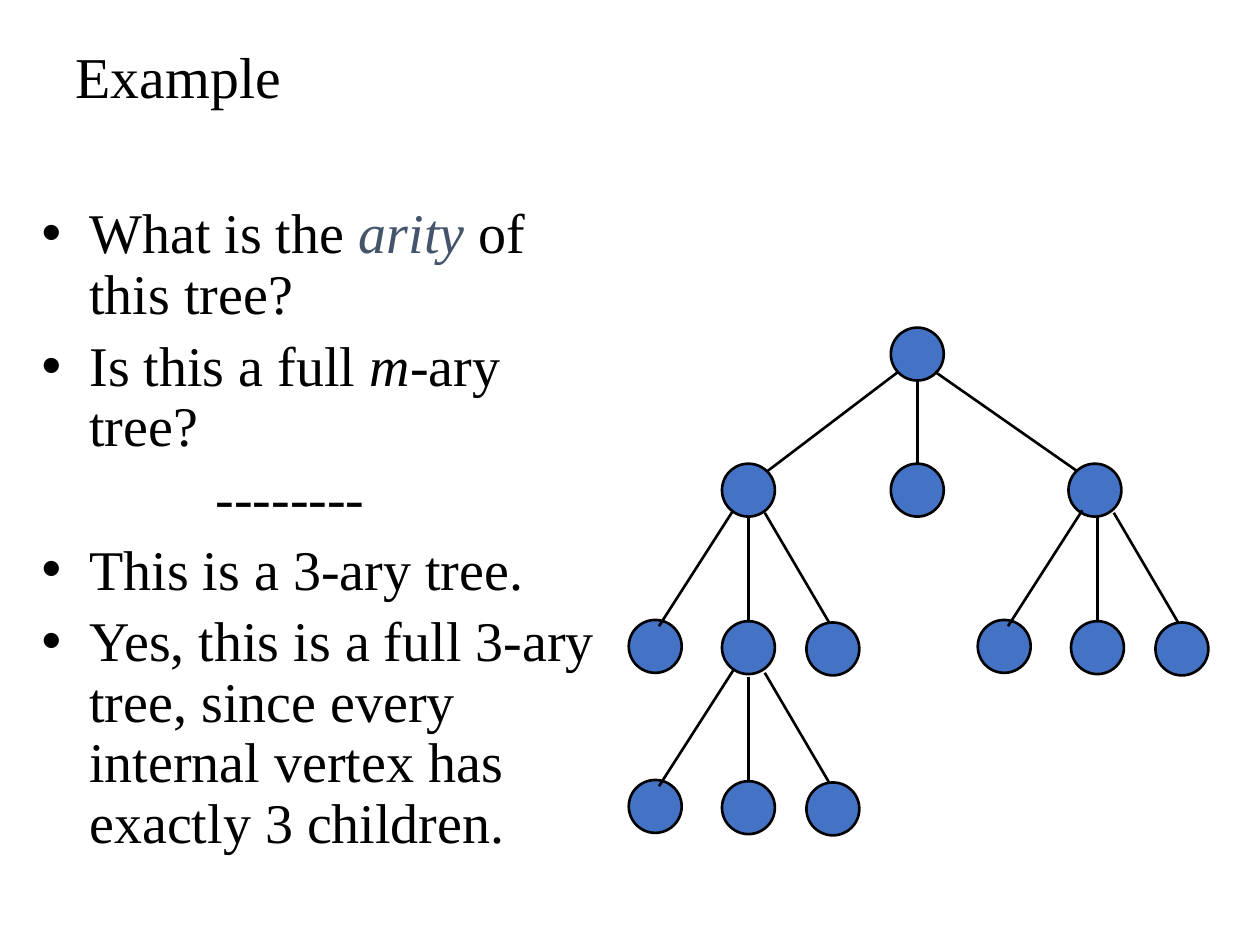
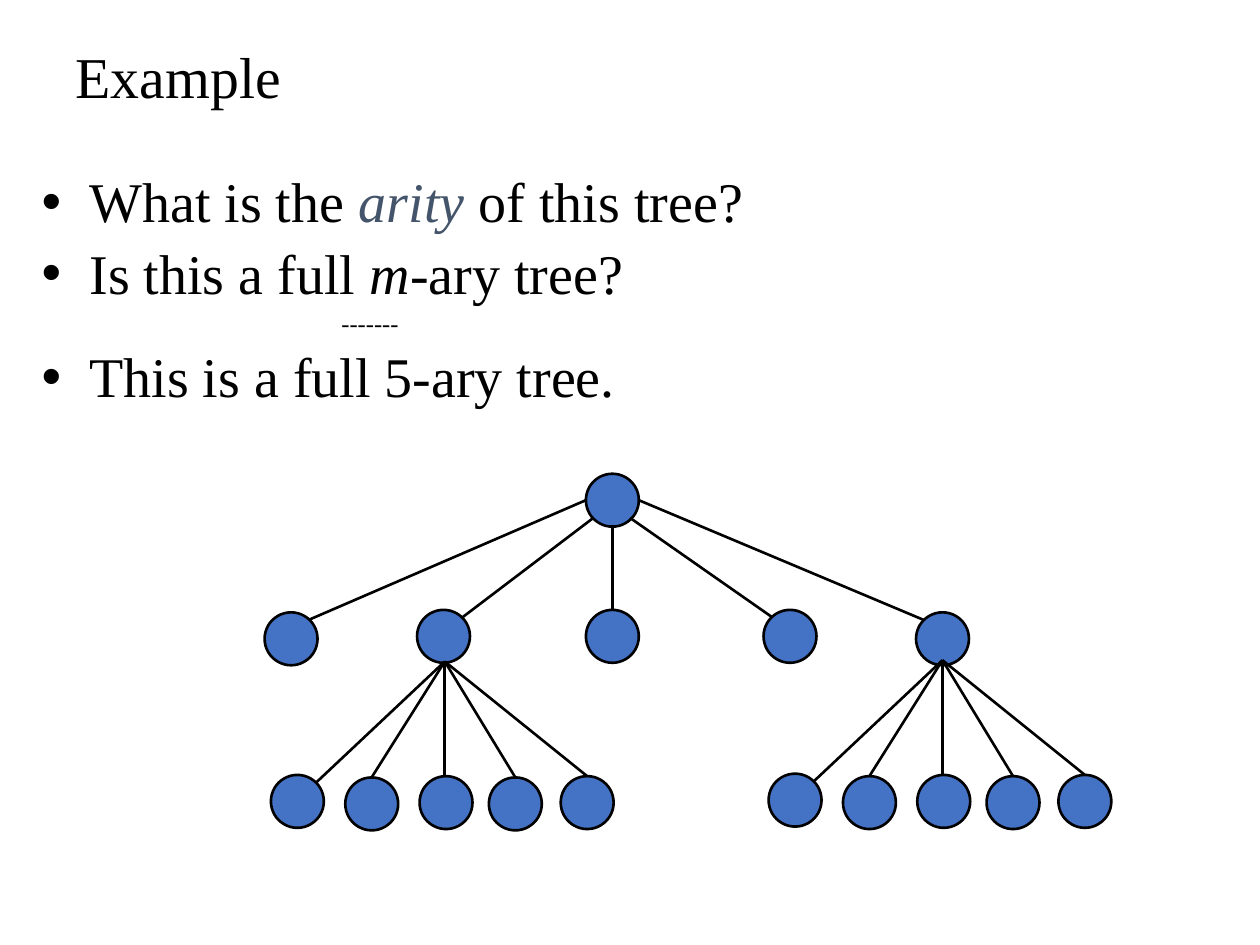
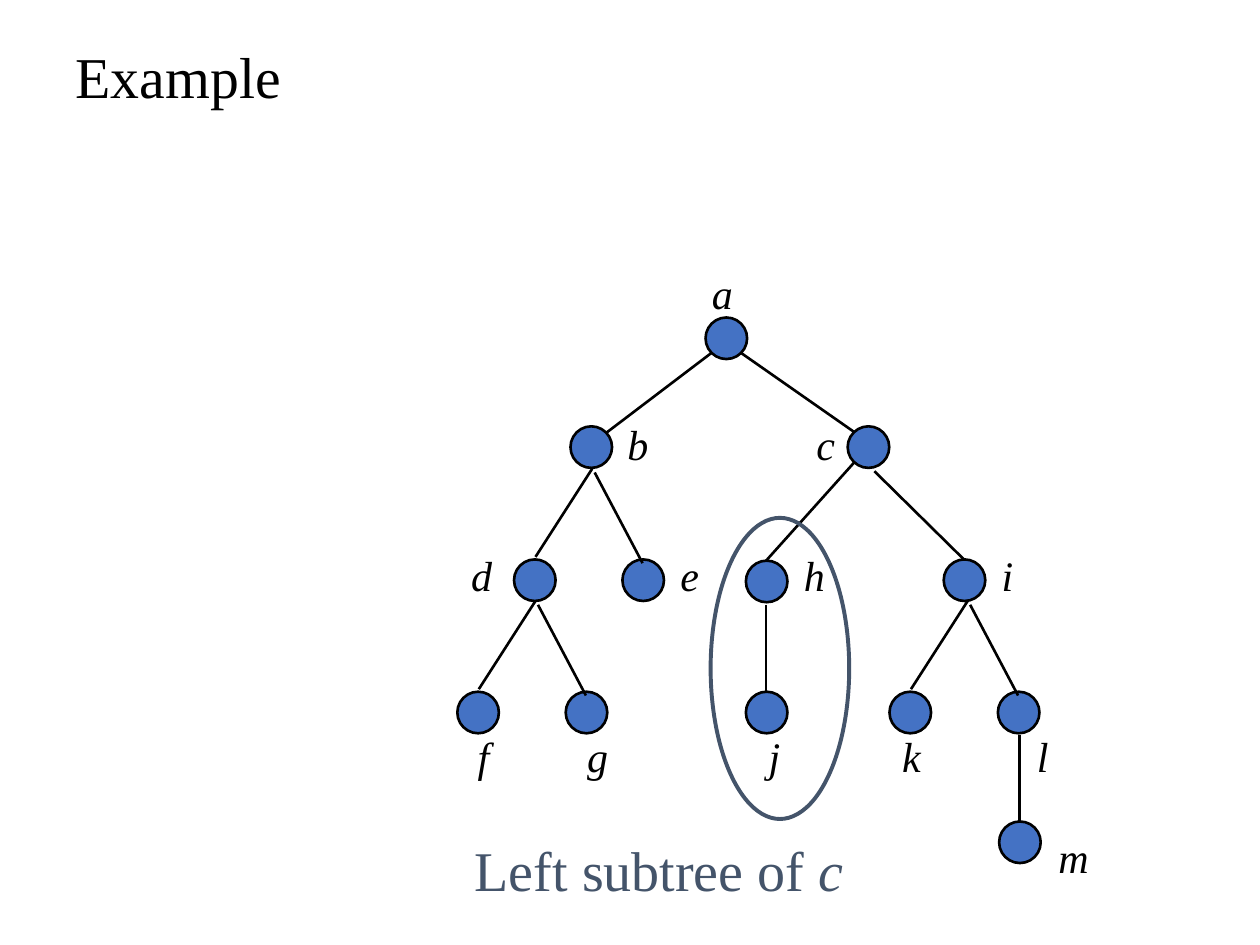
from typing import NamedTuple

from lxml import etree
from pptx import Presentation
from pptx.dml import color
from pptx.enum import shapes, text
from pptx.oxml import ns
from pptx.util import Inches, Pt

FONT = "Times New Roman"
BLACK, BLUE, SLATE = "000000", "4472C4", "44546A"
BIG, SMALL = 0.42, 0.33
LABEL_SIZE = 0.4


class Branch(NamedTuple):
    left: float
    top: float
    x1: float
    y1: float
    x2: float
    y2: float


class Run(NamedTuple):
    words: str
    ink: str = BLACK
    italic: bool = False


class Para(NamedTuple):
    runs: list[Run]
    size: float = 32
    margin: float = 0.38
    bullet: bool = True


class Label(NamedTuple):
    letter: str
    left: float
    top: float


OUTER_PAIR = [
    Branch(-1.34, 1.08, 0.06, 0.35, -0.98, 1.14),
    Branch(1.41, 1.08, 0.35, 0.35, 1.48, 1.14),
]
ROOT_OF_THREE = OUTER_PAIR + [Branch(0, 1.08, 0.21, 0.41, 0.21, 1.08)]
ROOT_OF_FIVE = ROOT_OF_THREE + [
    Branch(-2.55, 1.1, 0, 0.21, -2.2, 1.16),
    Branch(2.62, 1.1, 0.42, 0.21, 2.68, 1.16),
]
THREE = [
    Branch(-0.74, 1.24, 0.09, 0.37, -0.5, 1.29),
    Branch(0, 1.25, 0.21, 0.42, 0.21, 1.25),
    Branch(0.67, 1.26, 0.34, 0.39, 0.85, 1.26),
]
FIVE = [
    Branch(-1.38, 0.9, 0, 0, -1.02, 0.96),
    Branch(-0.79, 0.92, 0, 0, -0.58, 0.92),
    Branch(-0.2, 0.91, 0, 0, 0, 0.91),
    Branch(0.35, 0.92, 0, 0, 0.56, 0.92),
    Branch(0.92, 0.91, 0, 0, 1.13, 0.91),
]
TWO = [
    Branch(-0.62, 0.72, 0, 0, -0.45, 0.7),
    Branch(0.24, 0.72, 0.02, 0.03, 0.4, 0.75),
]
CHILDREN_OF_C = [
    Branch(-0.81, 1.06, 0.05, 0.28, -0.65, 1.06),
    Branch(0.76, 1.05, 0.21, 0.35, 0.92, 1.05),
]
STEM = [Branch(0, 1.04, 0.16, 0.35, 0.16, 1.04)]

QUESTIONS = [
    Para([Run("What is the "), Run("arity", SLATE, True), Run(" of this tree?")]),
    Para([Run("Is this a full "), Run("m", italic=True), Run("-ary tree?")]),
]

ROW_A, ROW_B, ROW_D, ROW_F, ROW_M = 2.12, 3.32, 4.36, 5.8, 6.6
LABELS = [
    Label("a", 5.65, ROW_A), Label("b", 4.98, ROW_B), Label("c", 6.48, ROW_B),
    Label("d", 3.74, ROW_D), Label("e", 5.4, ROW_D), Label("h", 6.38, ROW_D),
    Label("i", 7.95, ROW_D), Label("f", 3.79, ROW_F), Label("g", 4.66, ROW_F),
    Label("j", 6.1, ROW_F), Label("k", 7.16, ROW_F), Label("l", 8.23, ROW_F),
    Label("m", 8.4, ROW_M),
]


def rgb(value: str) -> color.RGBColor:
    return color.RGBColor.from_string(value)


def place(sp, left: float, top: float, width: float, height: float) -> None:
    sp.left, sp.top = Inches(left), Inches(top)
    sp.width, sp.height = Inches(width), Inches(height)


def add_run(p, run: Run, size: float) -> None:
    r = p.add_run()
    r.text = run.words
    r.font.name, r.font.size, r.font.italic = FONT, Pt(size), run.italic
    r.font.color.rgb = rgb(run.ink)


def add_slide(prs, layout: int):
    s = prs.slides.add_slide(prs.slide_layouts[layout])
    place(s.shapes.title, 0.5, 0.17, 9, 0.92)
    tf = s.shapes.title.text_frame
    tf.auto_size = text.MSO_AUTO_SIZE.NONE
    tf.vertical_anchor = text.MSO_ANCHOR.MIDDLE
    p = tf.paragraphs[0]
    p.alignment, p.line_spacing = text.PP_ALIGN.LEFT, 0.9
    add_run(p, Run("Example"), 33)
    return s


def fill_body(s, paras: list[Para], box: tuple[float, float, float, float]) -> None:
    sp = s.placeholders[1]
    place(sp, *box)
    tf = sp.text_frame
    tf.auto_size = text.MSO_AUTO_SIZE.NONE
    tf.margin_left = tf.margin_right = 0
    for i, para in enumerate(paras):
        p = tf.paragraphs[0] if i == 0 else tf.add_paragraph()
        p.line_spacing = 0.9
        p.space_before = Pt(0.2 * para.size if i else 0)
        pPr = p._p.get_or_add_pPr()
        pPr.set("marL", str(Inches(para.margin)))
        pPr.set("indent", str(Inches(-para.margin if para.bullet else 0)))
        if para.bullet:
            etree.SubElement(pPr, ns.qn("a:buChar")).set("char", "•")
        else:
            etree.SubElement(pPr, ns.qn("a:buNone"))
        for run in para.runs:
            add_run(p, run, para.size)


def add_text(s, runs: list[Run], size: float,
             box: tuple[float, float, float, float], inset: float = 0):
    tf = s.shapes.add_textbox(*map(Inches, box)).text_frame
    tf.word_wrap = True
    tf.margin_left = tf.margin_right = Inches(inset)
    tf.margin_top = tf.margin_bottom = Inches(inset / 2)
    for run in runs:
        add_run(tf.paragraphs[0], run, size)


def add_oval(s, left: float, top: float, width: float, height: float,
             line: str, weight: float, fill: str | None = None) -> None:
    sp = s.shapes.add_shape(shapes.MSO_SHAPE.OVAL,
                            *map(Inches, (left, top, width, height)))
    sp.shadow.inherit = False
    if fill:
        sp.fill.solid()
        sp.fill.fore_color.rgb = rgb(fill)
    else:
        sp.fill.background()
    sp.line.color.rgb, sp.line.width = rgb(line), Pt(weight)


def add_node(s, left: float, top: float, size: float) -> None:
    add_oval(s, left, top, size, size, BLACK, 1.5, BLUE)


def add_edge(s, x1: float, y1: float, x2: float, y2: float) -> None:
    cx = s.shapes.add_connector(shapes.MSO_CONNECTOR.STRAIGHT,
                                *map(Inches, (x1, y1, x2, y2)))
    cx.line.color.rgb, cx.line.width = rgb(BLACK), Pt(1.5)
    etree.SubElement(cx._element.spPr, ns.qn("a:effectLst"))


def add_fan(s, branches: list[Branch], x: float, y: float,
            size: float = BIG, scale: float = 1) -> None:
    for b in branches:
        add_node(s, x + b.left * scale, y + b.top * scale, size)
    for b in branches:
        add_edge(s, x + b.x1 * scale, y + b.y1 * scale,
                 x + b.x2 * scale, y + b.y2 * scale)


def build_three_ary(prs) -> None:
    s = add_slide(prs, 1)
    add_node(s, 7.07, 2.6, BIG)
    add_fan(s, ROOT_OF_THREE, 7.07, 2.6)
    for x, y in [(5.73, 3.68), (5.73, 4.95), (8.5, 3.68)]:
        add_fan(s, THREE, x, y)
    answer = ("Yes, this is a full 3-ary tree, since every internal vertex "
              "has exactly 3 children.")
    fill_body(s, QUESTIONS + [
        Para([Run("--------")], margin=1.38, bullet=False),
        Para([Run("This is a 3-ary tree.")]),
        Para([Run(answer)]),
    ], (0.33, 1.58, 4.42, 5.5))


def build_five_ary(prs) -> None:
    s = add_slide(prs, 1)
    add_node(s, 4.65, 3.76, BIG)
    add_fan(s, ROOT_OF_FIVE, 4.65, 3.76)
    for x, y in [(3.53, 5.25), (7.48, 5.24)]:
        add_fan(s, FIVE, x, y)
    fill_body(s, QUESTIONS + [
        Para([Run("-------")], size=14, margin=2.38, bullet=False),
        Para([Run("This is a full 5-ary tree.")]),
    ], (0.33, 1.33, 9.25, 2.33))


def build_subtree(prs) -> None:
    s = add_slide(prs, 5)
    for label in LABELS:
        add_text(s, [Run(label.letter, italic=True)], 24,
                 (label.left, label.top, LABEL_SIZE, LABEL_SIZE))
    add_node(s, 5.6, 2.52, SMALL)
    add_fan(s, OUTER_PAIR, 5.6, 2.52, SMALL, 0.8)
    for x, y in [(4.7, 3.72), (4.25, 4.77)]:
        add_fan(s, TWO, x, y, SMALL)
    add_fan(s, CHILDREN_OF_C, 6.73, 3.39, SMALL)
    add_fan(s, TWO, 7.68, 4.77, SMALL)
    for x, y in [(5.92, 4.45), (7.93, 5.48)]:
        add_fan(s, STEM, x, y, SMALL)
    add_text(s, [Run("Left subtree of ", SLATE), Run("c", SLATE, True)], 32,
             (3.67, 6.58, 3.52, 0.63), 0.1)
    add_oval(s, 5.64, 4.11, 1.1, 2.39, SLATE, 2.25)


def main() -> None:
    prs = Presentation()
    prs.slide_width, prs.slide_height = Inches(10), Inches(7.5)
    build_three_ary(prs)
    build_five_ary(prs)
    build_subtree(prs)
    prs.save("out.pptx")


if __name__ == "__main__":
    main()
